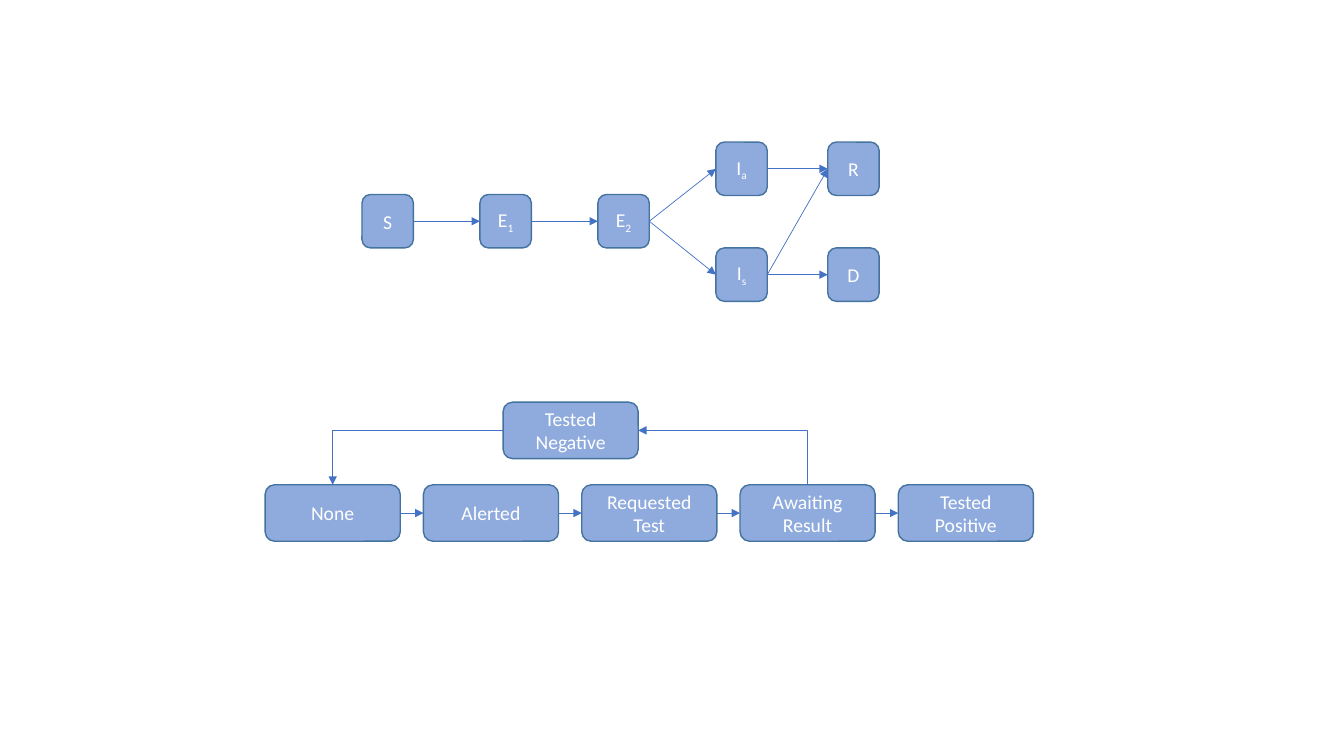
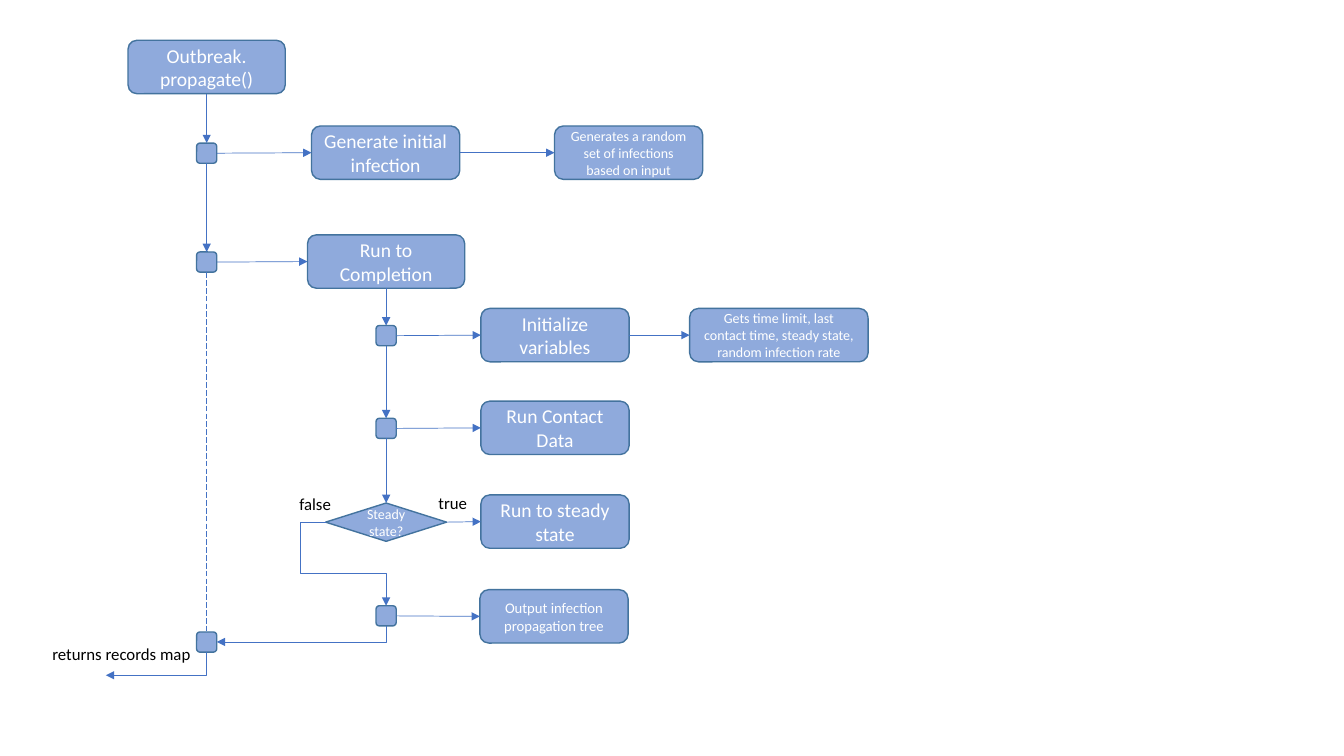
from dataclasses import dataclass
from itertools import pairwise

from lxml.etree import SubElement
from pptx import Presentation
from pptx.dml.color import RGBColor
from pptx.enum.dml import MSO_LINE
from pptx.enum.shapes import MSO_CONNECTOR, MSO_SHAPE
from pptx.enum.text import MSO_ANCHOR, MSO_AUTO_SIZE, PP_ALIGN
from pptx.oxml.ns import qn
from pptx.util import Pt

PX = 9144
TOP, LEFT, BOTTOM, RIGHT = range(4)


@dataclass(frozen=True)
class Theme:
    font: str = "Calibri"
    fill: RGBColor = RGBColor(0x8F, 0xAA, 0xDC)
    outline: RGBColor = RGBColor(0x43, 0x73, 0x9E)
    arrow: RGBColor = RGBColor(0x44, 0x72, 0xC4)
    light: RGBColor = RGBColor(0xFF, 0xFF, 0xFF)
    dark: RGBColor = RGBColor(0x00, 0x00, 0x00)
    large: float = 14
    label: float = 12
    medium: float = 10.5
    small: float = 10
    outline_width: float = 1
    arrow_width: float = 0.5


theme = Theme()


def add_box(slide, text, left, top, width, height, size=theme.large, color=theme.light,
            align=PP_ALIGN.CENTER, outline=MSO_SHAPE.ROUNDED_RECTANGLE):
    bounds = [length * PX for length in (left, top, width, height)]
    if outline is None:
        shape = slide.shapes.add_textbox(*bounds)
        shape.text_frame.word_wrap = False
        shape.text_frame.auto_size = MSO_AUTO_SIZE.SHAPE_TO_FIT_TEXT
    else:
        shape = slide.shapes.add_shape(outline, *bounds)
        shape.shadow.inherit = False
        shape.fill.solid()
        shape.fill.fore_color.rgb = theme.fill
        shape.line.color.rgb = theme.outline
        shape.line.width = Pt(theme.outline_width)
        shape.text_frame.word_wrap = True
        shape.text_frame.vertical_anchor = MSO_ANCHOR.MIDDLE
    if not text:
        return shape
    for number, line in enumerate(text.split("\n")):
        frame = shape.text_frame
        paragraph = frame.add_paragraph() if number else frame.paragraphs[0]
        paragraph.alignment = align
        base, _, subscript = line.partition("_")
        for part, baseline in ((base, None), (subscript, "-25000")):
            if part:
                run = paragraph.add_run()
                run.text = part
                run.font.name = theme.font
                run.font.size = Pt(size)
                run.font.color.rgb = color
                if baseline:
                    run._r.get_or_add_rPr().set("baseline", baseline)
    return shape


def connect(slide, start, start_site, end, end_site, preset="line", bends=(),
            arrow="a:tailEnd", dash=None):
    connector = slide.shapes.add_connector(MSO_CONNECTOR.STRAIGHT, 0, 0, 0, 0)
    if start is not None:
        connector.begin_connect(start, start_site)
    connector.end_connect(end, end_site)
    connector.line.color.rgb = theme.arrow
    connector.line.width = Pt(theme.arrow_width)
    if dash:
        connector.line.dash_style = dash
    if arrow:
        SubElement(connector.line._get_or_add_ln(), qn(arrow), type="triangle")
    properties = connector._element.spPr
    SubElement(properties, qn("a:effectLst"))
    geometry = properties.find(qn("a:prstGeom"))
    geometry.set("prst", preset)
    for number, bend in enumerate(bends, 1):
        SubElement(geometry.find(qn("a:avLst")), qn("a:gd"),
                   name=f"adj{number}", fmla=f"val {bend}")
    return connector


presentation = Presentation()
presentation.slide_width = 1333 * PX
presentation.slide_height = 750 * PX
blank = presentation.slide_layouts[6]

states_slide = presentation.slides.add_slide(blank)
state_positions = {
    "S": (359, 193), "E_1": (476, 193), "E_2": (593, 193),
    "I_a": (710, 141), "I_s": (710, 246), "R": (821, 141), "D": (821, 246),
}
states = {name: add_box(states_slide, name, left, top, 51, 53)
          for name, (left, top) in state_positions.items()}
for source, target in (("S", "E_1"), ("E_1", "E_2"), ("E_2", "I_a"), ("E_2", "I_s"),
                       ("I_s", "R"), ("I_s", "D"), ("I_a", "R")):
    connect(states_slide, states[source], RIGHT, states[target], LEFT)

test_names = ("None", "Alerted", "Requested Test", "Awaiting Result", "Tested Positive")
tests = [add_box(states_slide, name, 263 + 157 * column, 481, 134, 56)
         for column, name in enumerate(test_names)]
for source, target in pairwise(tests):
    connect(states_slide, source, RIGHT, target, LEFT)
negative = add_box(states_slide, "Tested Negative", 499, 399, 134, 56)
connect(states_slide, negative, RIGHT, tests[3], TOP, preset="bentConnector2", arrow="a:headEnd")
connect(states_slide, negative, LEFT, tests[0], TOP, preset="bentConnector2")

flow_slide = presentation.slides.add_slide(blank)
outbreak = add_box(flow_slide, "Outbreak.\npropagate()", 127, 40, 156, 53)
generate = add_box(flow_slide, "Generate initial infection", 309, 125, 147, 53)
completion = add_box(flow_slide, "Run to Completion", 305, 233, 156, 53)
initialize = add_box(flow_slide, "Initialize variables", 477, 306, 147, 53)
contact = add_box(flow_slide, "Run Contact Data", 477, 398, 147, 53)
steady = add_box(flow_slide, "Run to steady state", 477, 491, 147, 53)
output = add_box(flow_slide, "Output infection propagation tree", 476, 585, 147, 53,
                 size=theme.medium)
generate_note = add_box(flow_slide, "Generates a random set of infections based on input",
                        550, 125, 147, 53, size=theme.small)
initialize_note = add_box(
    flow_slide, "Gets time limit, last contact time, steady state, random infection rate",
    684, 306, 177, 53, size=theme.small)
decision = add_box(flow_slide, "Steady state?", 323, 499, 120, 38, size=theme.small,
                   outline=MSO_SHAPE.DIAMOND)
generate_node, completion_node, return_node = [
    add_box(flow_slide, "", 195, top, 20, 20) for top in (142, 250, 627)]
initialize_node, contact_node, output_node = [
    add_box(flow_slide, "", 373, top, 20, 20) for top in (323, 415, 601)]

for source, target in ((generate_node, generate), (generate, generate_note),
                       (completion_node, completion), (initialize_node, initialize),
                       (initialize, initialize_note), (contact_node, contact),
                       (decision, steady), (output_node, output)):
    connect(flow_slide, source, RIGHT, target, LEFT)
for chain in ((outbreak, generate_node, completion_node),
              (completion, initialize_node, contact_node, decision)):
    for source, target in pairwise(chain):
        connect(flow_slide, source, BOTTOM, target, TOP)
connect(flow_slide, completion_node, BOTTOM, return_node, TOP,
        arrow=None, dash=MSO_LINE.LONG_DASH)
connect(flow_slide, decision, LEFT, output_node, TOP,
        preset="bentConnector4", bends=(-42000, 61300))
connect(flow_slide, return_node, RIGHT, output_node, BOTTOM,
        preset="bentConnector2", arrow="a:headEnd")
exit_arrow = connect(flow_slide, None, None, return_node, BOTTOM,
                     preset="bentConnector2", arrow="a:headEnd")
exit_arrow.begin_x = 105 * PX
exit_arrow.begin_y = 670 * PX

for text, left, top, width in (("returns records map", 42, 634, 159),
                               ("false", 287, 485, 52), ("true", 425, 484, 49)):
    add_box(flow_slide, text, left, top, width, 30, size=theme.label, color=theme.dark,
            align=PP_ALIGN.LEFT, outline=None)

presentation.save("out.pptx")
